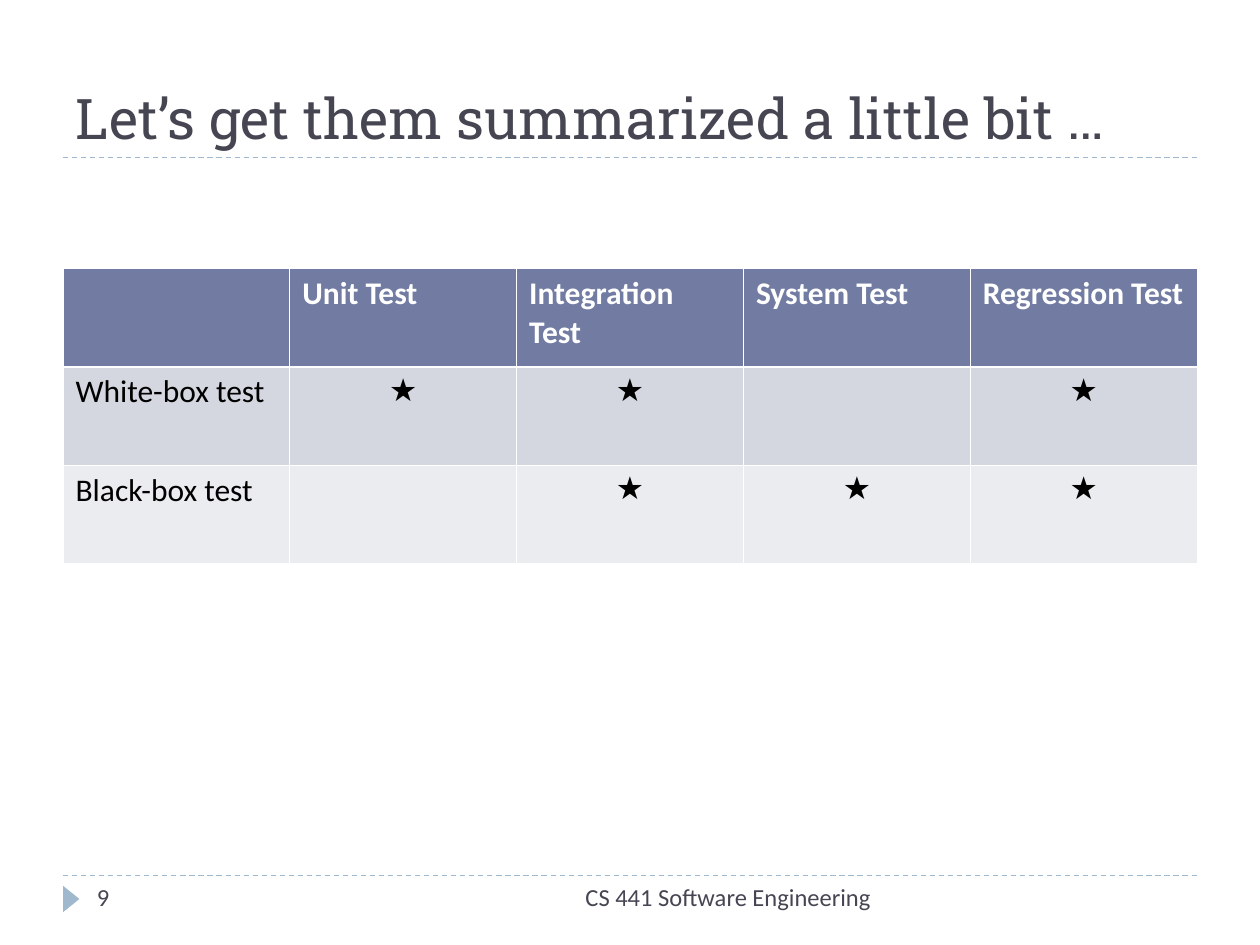
from typing import NamedTuple

from lxml.etree import SubElement
from pptx import Presentation
from pptx.dml.color import RGBColor
from pptx.enum.dml import MSO_LINE
from pptx.enum.shapes import MSO_CONNECTOR, MSO_SHAPE
from pptx.enum.text import MSO_ANCHOR, MSO_AUTO_SIZE, PP_ALIGN as Align
from pptx.oxml.ns import qn
from pptx.util import Inches, Pt

INK = RGBColor(0x46, 0x46, 0x53)
RULE = RGBColor(0x9F, 0xB8, 0xCD)
HEAD = RGBColor(0x72, 0x7C, 0xA3)
BANDS = (RGBColor(0xD5, 0xD7, 0xE0), RGBColor(0xEB, 0xEC, 0xF0))
WHITE = RGBColor(0xFF, 0xFF, 0xFF)
BLACK = RGBColor(0, 0, 0)

STAR = "★"
GRID = (
    ("", "Unit Test", "Integration Test", "System Test", "Regression Test"),
    ("White-box test", STAR, STAR, "", STAR),
    ("Black-box test", "", STAR, STAR, STAR),
)
THIN, THICK = 0.45, 1.47


class Note(NamedTuple):
    text: str
    left: float
    width: float
    align: Align


NOTES = (
    Note("9", 0.67, 2.17, Align.LEFT),
    Note("CS 441 Software Engineering", 2.84, 4.17, Align.RIGHT),
)


def style(para, size: int, face: str, color: RGBColor, align=Align.LEFT, bold=False) -> None:
    para.alignment = align
    font = para.font
    font.size, font.name, font.bold = Pt(size), face, bold
    font.color.rgb = color


def add_rule(slide, top: float) -> None:
    line = slide.shapes.add_connector(
        MSO_CONNECTOR.STRAIGHT, Inches(0.5), Inches(top), Inches(9.5), Inches(top))
    line.line.color.rgb = RULE
    line.line.width = Pt(0.75)
    line.line.dash_style = MSO_LINE.DASH
    SubElement(line._element.spPr, qn("a:effectLst"))


def add_title(slide, text: str) -> None:
    title = slide.shapes.title
    title.left, title.top = Inches(0.5), Inches(0.17)
    title.width, title.height = Inches(9), Inches(1.08)
    frame = title.text_frame
    frame.text = text
    frame.auto_size = MSO_AUTO_SIZE.NONE
    frame.vertical_anchor = MSO_ANCHOR.BOTTOM
    style(frame.paragraphs[0], 32, "Roboto Slab", INK)


def add_note(slide, note: Note) -> None:
    box = slide.shapes.add_textbox(
        Inches(note.left), Inches(6.95), Inches(note.width), Inches(0.4))
    frame = box.text_frame
    frame.word_wrap = True
    frame.text = note.text
    style(frame.paragraphs[0], 14, "Calibri", INK, note.align)


def add_marker(slide) -> None:
    mark = slide.shapes.add_shape(
        MSO_SHAPE.ISOSCELES_TRIANGLE, Inches(0.46), Inches(7.07), Inches(0.21), Inches(0.13))
    mark.rotation = 90
    mark.shadow.inherit = False
    mark.fill.solid()
    mark.fill.fore_color.rgb = RULE
    mark.line.fill.background()


def set_edges(cell, top: float, bottom: float) -> None:
    """Draw white borders; must run before the cell gets its fill."""
    props = cell._tc.get_or_add_tcPr()
    for side, width in (("L", THIN), ("R", THIN), ("T", top), ("B", bottom)):
        edge = SubElement(props, qn(f"a:ln{side}"), w=str(int(Pt(width))))
        fill = SubElement(edge, qn("a:solidFill"))
        SubElement(fill, qn("a:srgbClr"), val=str(WHITE))


def add_grid(slide) -> None:
    rows, cols = len(GRID), len(GRID[0])
    table = slide.shapes.add_table(
        rows, cols, Inches(0.5), Inches(2.13), Inches(9), Inches(0.78 * rows)).table
    for r, row in enumerate(GRID):
        for c, text in enumerate(row):
            cell = table.cell(r, c)
            set_edges(cell, THICK if r == 1 else THIN, THICK if r == 0 else THIN)
            cell.fill.solid()
            cell.fill.fore_color.rgb = BANDS[r - 1] if r else HEAD
            cell.text = text
            star = text == STAR
            style(cell.text_frame.paragraphs[0], 18, "Arial" if star else "Calibri",
                  BLACK if r else WHITE, Align.CENTER if star else Align.LEFT, r == 0)


def main() -> None:
    deck = Presentation()
    deck.slide_width, deck.slide_height = Inches(10), Inches(7.5)
    slide = deck.slides.add_slide(deck.slide_layouts[5])
    for top in (6.95, 1.25):
        add_rule(slide, top)
    add_marker(slide)
    add_title(slide, "Let’s get them summarized a little bit …")
    add_grid(slide)
    for note in NOTES:
        add_note(slide, note)
    deck.save("out.pptx")


if __name__ == "__main__":
    main()
